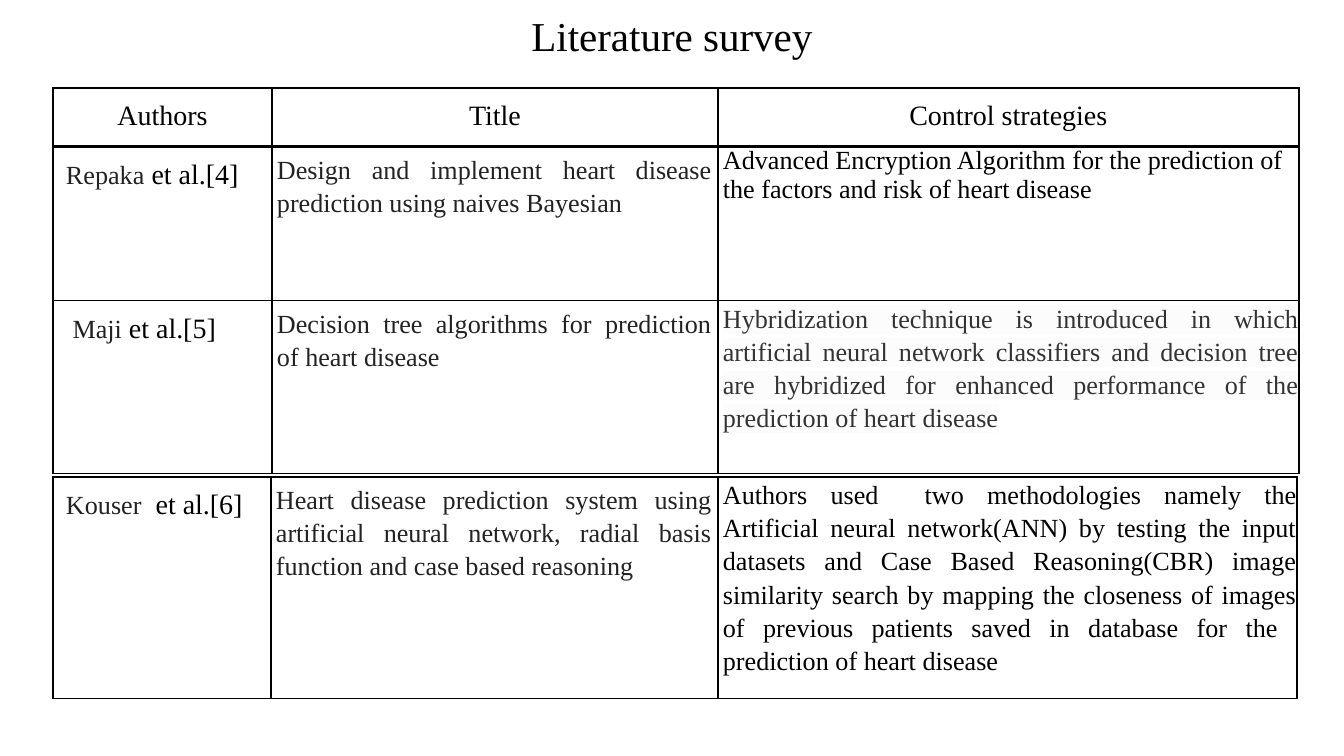
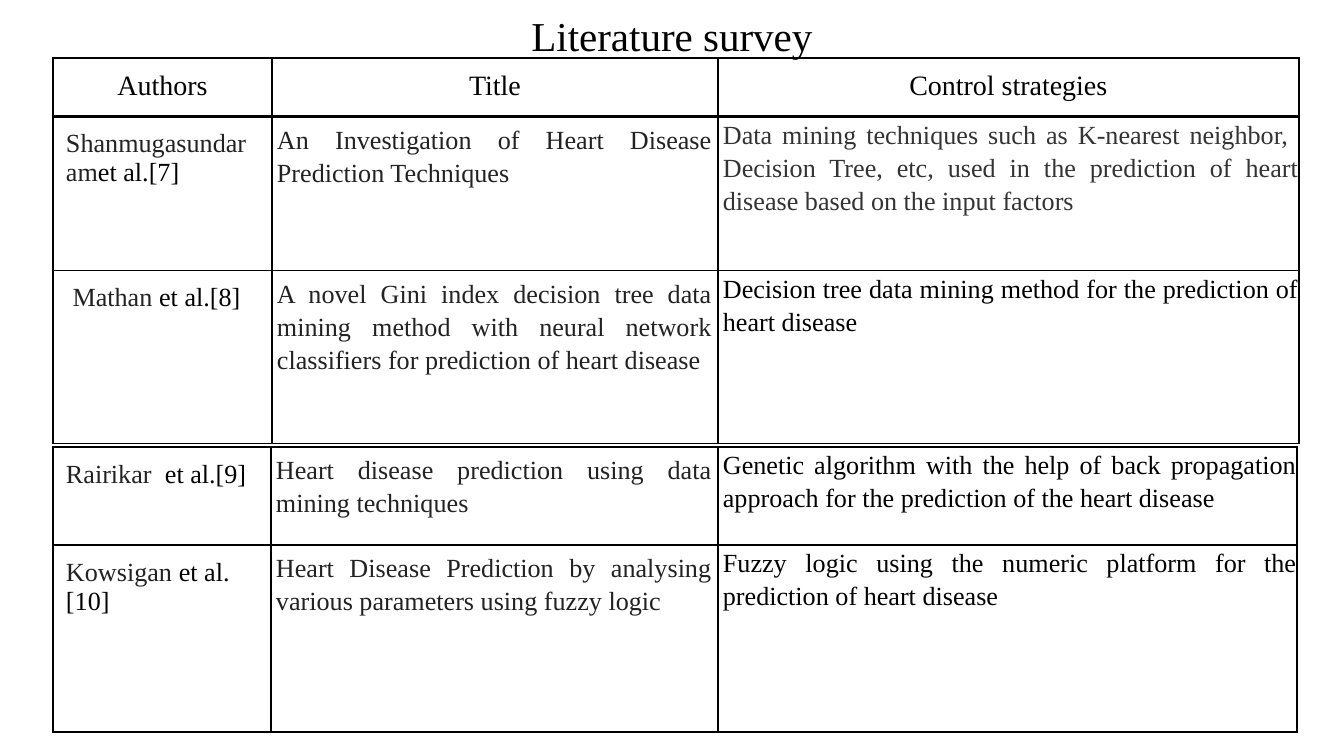
from dataclasses import dataclass

from lxml import etree
from pptx import Presentation
from pptx import util as u
from pptx.dml.color import RGBColor
from pptx.enum import text as t
from pptx.oxml import ns

PX_PER_INCH = 134.4
FONT = "Times New Roman"
COLORS = {"black": "000000", "ink": "222222", "grey": "333333",
          "white": "FFFFFF", "mist": "FCFCFC"}

# Run styles: text colour and highlight
STYLES = {
    "plain": ("black", None),
    "marked": ("black", "white"),
    "ink": ("ink", "white"),
    "grey": ("grey", None),
    "shaded": ("grey", "mist"),
}

# Cell formats: insets in px (left, top, right, bottom) and paragraph values
JUSTIFIED = {"alignment": t.PP_ALIGN.JUSTIFY, "line_spacing": 1.15}
FORMATS = {
    "header": ((13, 13, 13, 12), {"alignment": t.PP_ALIGN.CENTER}),
    "author": ((13, 13, 14, 13), {"alignment": t.PP_ALIGN.LEFT}),
    "title": ((5, 5, 6, 5), {**JUSTIFIED, "space_after": u.Pt(8)}),
    "strategy": ((5, 0, 0, 0), {**JUSTIFIED, "space_after": u.Pt(10)}),
    "compact": ((5, 0, 0, 0), {"alignment": t.PP_ALIGN.LEFT}),
    "last": ((5, 0, 0, 5), JUSTIFIED),
}

HEADINGS = ("Authors", "Title", "Control strategies")
HEADER_HEIGHT = 58
UPPER_COLUMNS = (219, 446, 581)
LOWER_COLUMNS = (218, 447, 579)
THICK, THIN = 1.5, 0.75


@dataclass
class Study:
    author: list
    title: str
    strategy: list
    height: int
    format: str = "strategy"
    cite_size: int = 14


UPPER_1 = [
    Study([("Repaka", "ink"), (" et al.[4]", "plain")],
          "Design and implement heart disease prediction using naives Bayesian",
          [("Advanced Encryption Algorithm for the prediction of the factors "
            "and risk of heart disease", "plain")], 154, "compact", 15),
    Study([(" ", "plain"), ("Maji", "ink"), (" et al.[5]", "plain")],
          "Decision tree algorithms for prediction of heart disease",
          [("Hybridization technique is introduced in which artificial neural "
            "network classifiers and decision tree are hybridized for enhanced "
            "performance of the prediction of heart disease", "shaded")],
          173, cite_size=15),
]
LOWER_1 = [
    Study([("Kouser", "ink"), ("  et al.[6]", "plain")],
          "Heart disease prediction system using artificial neural network, "
          "radial basis function and case based reasoning",
          [("Authors ", "plain"),
           ("used  two methodologies namely the Artificial neural network(ANN) "
            "by testing the input datasets and Case Based Reasoning(CBR) image "
            "similarity search by mapping the closeness of images of previous "
            "patients saved in database for the  prediction of heart disease",
            "marked")], 187, "last", 15),
]
UPPER_2 = [
    Study([("Shanmugasundaram", "ink"), ("et al.[7]", "plain")],
          "An Investigation of Heart Disease Prediction Techniques",
          [("Data mining techniques such as K-nearest neighbor,  Decision Tree, "
            "etc, used in the prediction of heart disease based on the input "
            "factors", "grey")], 154),
    Study([(" ", "plain"), ("Mathan", "ink"), (" et al.[8]", "plain")],
          "A novel Gini index decision tree data mining method with neural "
          "network classifiers for prediction of heart disease",
          [("Decision tree data mining method for the prediction of heart "
            "disease", "plain")], 173),
]
LOWER_2 = [
    Study([("Rairikar", "ink"), ("  et al.[9]", "plain")],
          "Heart disease prediction using data mining techniques",
          [("Genetic algorithm with the help of back propagation approach for "
            "the prediction of the heart disease", "plain")], 98, "last"),
    Study([("Kowsigan", "ink"), (" et al.[10]", "plain")],
          "Heart Disease Prediction by analysing various parameters using "
          "fuzzy logic",
          [("Fuzzy logic using the numeric platform for the prediction of heart "
            "disease", "plain")], 187, "last"),
]


def px(value):
    return u.Emu(round(value * 914400 / PX_PER_INCH))


def set_values(target, values):
    for name, value in values.items():
        setattr(target, name, value)


def set_insets(target, insets):
    for side, inset in zip(("left", "top", "right", "bottom"), insets):
        setattr(target, f"margin_{side}", px(inset))


def add_run(paragraph, content, style, size):
    color, highlight = STYLES[style]
    run = paragraph.add_run()
    run.text = content
    run.font.size = u.Pt(size)
    run.font.color.rgb = RGBColor.from_string(COLORS[color])
    if highlight:
        mark = etree.SubElement(run.font._element, ns.qn("a:highlight"))
        etree.SubElement(mark, ns.qn("a:srgbClr"), val=COLORS[highlight])
    run.font.name = FONT


def set_borders(cell, width, top_width):
    properties = cell._tc.get_or_add_tcPr()
    for index, side in enumerate("LRTB"):
        points = top_width if side == "T" else width
        line = etree.Element(ns.qn(f"a:ln{side}"), w=str(u.Pt(points)))
        fill = etree.SubElement(line, ns.qn("a:solidFill"))
        etree.SubElement(fill, ns.qn("a:srgbClr"), val=COLORS["black"])
        properties.insert(index, line)


def fill_cell(cell, runs, format_name, width, top_width):
    """Write runs of (text, style, size) into one bordered cell."""
    insets, values = FORMATS[format_name]
    set_insets(cell, insets)
    cell.fill.background()
    set_borders(cell, width, top_width)
    paragraph = cell.text_frame.paragraphs[0]
    set_values(paragraph, values)
    for content, style, size in runs:
        add_run(paragraph, content, style, size)


def add_title(slide, left, top, width, height):
    frame = slide.shapes.add_textbox(*map(px, (left, top, width, height))).text_frame
    frame.word_wrap = True
    set_insets(frame, (13, 13, 13, 13))
    paragraph = frame.paragraphs[0]
    set_values(paragraph, {"alignment": t.PP_ALIGN.CENTER, "line_spacing": 1.15})
    add_run(paragraph, "Literature survey", "plain", 22)


def add_studies(slide, left, top, columns, studies, header=False):
    heights = [HEADER_HEIGHT] * header + [study.height for study in studies]
    table = slide.shapes.add_table(len(heights), len(columns), px(left), px(top),
                                   px(sum(columns)), px(sum(heights))).table
    set_values(table, {"first_row": False, "horz_banding": False})
    for column, width in zip(table.columns, columns):
        column.width = px(width)
    for row, height in zip(table.rows, heights):
        row.height = px(height)

    # Heading row
    if header:
        for cell, heading in zip(table.rows[0].cells, HEADINGS):
            fill_cell(cell, [(heading, "plain", 15)], "header", THICK, THICK)

    # One row for each study
    for index, study in enumerate(studies):
        top_width = THICK if header and index == 0 else THIN
        author = [(content, style, study.cite_size if "et al" in content else 14)
                  for content, style in study.author]
        strategy = [(*run, 14) for run in study.strategy]
        parts = ((author, "author"), ([(study.title, "ink", 14)], "title"),
                 (strategy, study.format))
        for cell, (runs, name) in zip(table.rows[index + header].cells, parts):
            fill_cell(cell, runs, name, THIN, top_width)


def add_survey_slide(presentation, upper, lower):
    """Each table is given as (left, top, studies)."""
    slide = presentation.slides.add_slide(presentation.slide_layouts[6])
    slide.background.fill.solid()
    slide.background.fill.fore_color.rgb = RGBColor.from_string(COLORS["white"])
    add_title(slide, 35, -10, 1274, 38)
    left, top, studies = upper
    add_studies(slide, left, top, UPPER_COLUMNS, studies, header=True)
    left, top, studies = lower
    add_studies(slide, left, top, LOWER_COLUMNS, studies)


def main():
    presentation = Presentation()
    set_values(presentation, {"slide_width": px(1344), "slide_height": px(756)})
    add_survey_slide(presentation, (53, 88, UPPER_1), (53, 477, LOWER_1))
    add_survey_slide(presentation, (53, 58, UPPER_2), (53, 447, LOWER_2))
    presentation.save("out.pptx")


if __name__ == "__main__":
    main()
